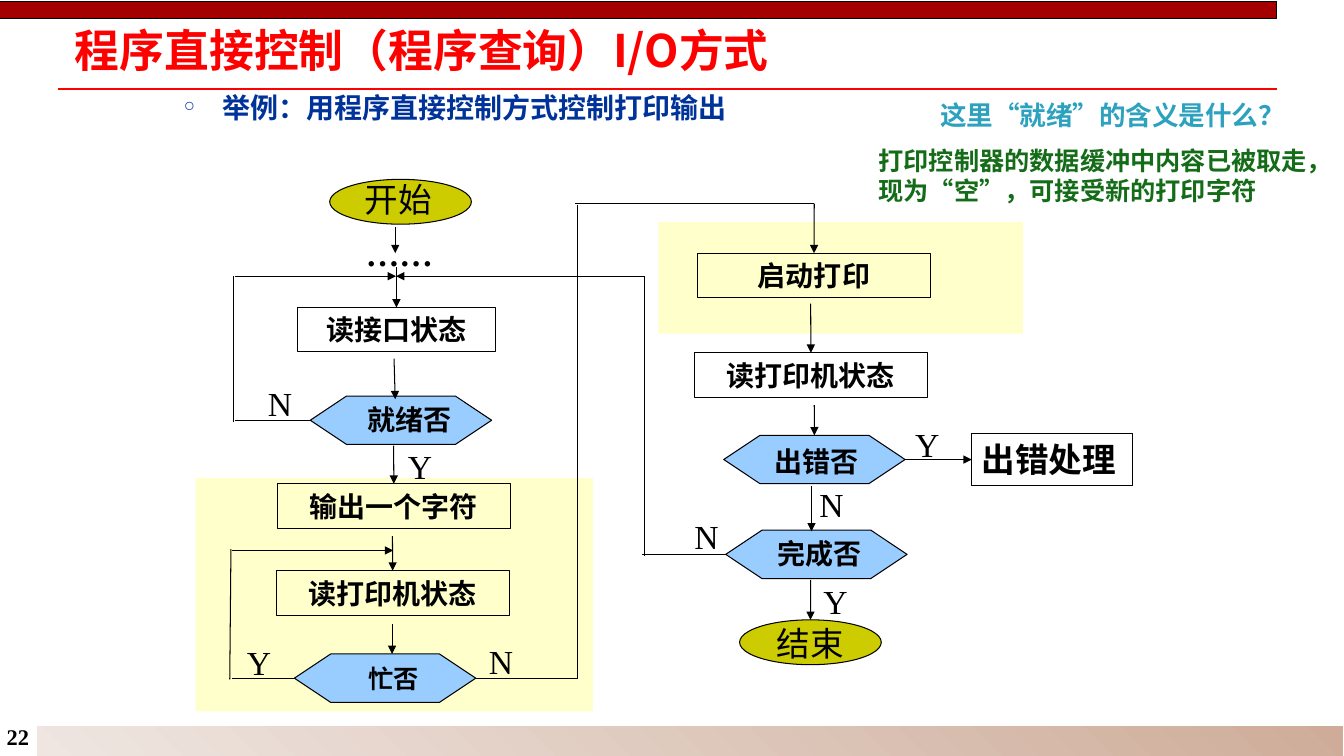
from dataclasses import dataclass

from lxml.etree import SubElement
from pptx import Presentation
from pptx.dml.color import RGBColor
from pptx.enum.shapes import MSO_CONNECTOR as Link, MSO_SHAPE as Form
from pptx.enum.text import MSO_AUTO_SIZE as Fit, PP_ALIGN as Align
from pptx.oxml.ns import qn
from pptx.util import Cm, Pt

BLACK = RGBColor(0x00, 0x00, 0x00)
WHITE = RGBColor(0xFF, 0xFF, 0xFF)
RED = RGBColor(0xFF, 0x00, 0x00)
DARK_RED = RGBColor(0xA4, 0x00, 0x00)
NAVY = RGBColor(0x00, 0x33, 0x99)
TEAL = RGBColor(0x2D, 0xA2, 0xBF)
GREEN = RGBColor(0x14, 0x6C, 0x18)
PALE_YELLOW = RGBColor(0xFF, 0xFF, 0x99)
OLIVE = RGBColor(0xCC, 0xCC, 0x00)
SKY = RGBColor(0x99, 0xCC, 0xFF)
TAN = RGBColor(0xCE, 0xAC, 0x99)
CREAM = RGBColor(0xEF, 0xE6, 0xE1)
SERIF, SANS, HAN = "Times New Roman", "Arial", "Noto Sans CJK SC"
TOP, LEFT, BOTTOM, RIGHT = range(4)


@dataclass
class Node:
    """A flowchart shape; lengths in cm."""
    name: str
    form: Form
    left: float
    top: float
    width: float
    height: float
    fill: RGBColor | None = None
    text: str = ""
    size: int = 20
    align: Align = Align.CENTER


@dataclass
class Label:
    """Free text; lengths in cm."""
    text: str
    left: float
    top: float
    width: float = 1.5
    height: float = 1.27
    size: int = 24
    bold: bool = False
    align: Align = Align.LEFT
    color: RGBColor = BLACK
    font: str = SERIF


@dataclass
class Flow:
    """A straight line, joined to (node name, side) where given."""
    x1: float
    y1: float
    x2: float
    y2: float
    arrow: bool = False
    begin: tuple[str, int] | None = None
    end: tuple[str, int] | None = None


def write(box, text: str, *, size: int, font: str = SERIF, color: RGBColor = BLACK,
          bold: bool = True, align: Align = Align.LEFT, wrap: bool = True,
          inset: tuple[float, float] = (0.25, 0.13)):
    frame = box.text_frame
    frame.word_wrap = wrap
    frame.auto_size = Fit.SHAPE_TO_FIT_TEXT
    frame.margin_left = frame.margin_right = Cm(inset[0])
    frame.margin_top = frame.margin_bottom = Cm(inset[1])
    para = frame.paragraphs[0]
    para.alignment = align
    span = para.add_run()
    span.text = text
    span.font.name, span.font.size, span.font.bold = font, Pt(size), bold
    span.font.color.rgb = color
    SubElement(span.font._element, qn("a:ea"), typeface=HAN)
    return para


def add_text(page, left: float, top: float, width: float, height: float, text: str, **style):
    box = page.shapes.add_textbox(Cm(left), Cm(top), Cm(width), Cm(height))
    return write(box, text, **style)


def add_form(page, form: Form, left: float, top: float, width: float, height: float,
             fill: RGBColor | None = None, line: RGBColor | None = BLACK):
    shape = page.shapes.add_shape(form, Cm(left), Cm(top), Cm(width), Cm(height))
    shape.shadow.inherit = False
    if fill is None:
        shape.fill.background()
    else:
        shape.fill.solid()
        shape.fill.fore_color.rgb = fill
    if line is None:
        shape.line.fill.background()
    else:
        shape.line.color.rgb = line
        shape.line.width = Pt(0.75)
    return shape


def add_flow(page, flow: Flow, shapes: dict, color: RGBColor = BLACK, width: float = 0.75) -> None:
    line = page.shapes.add_connector(Link.STRAIGHT, Cm(flow.x1), Cm(flow.y1), Cm(flow.x2), Cm(flow.y2))
    line.line.color.rgb = color
    line.line.width = Pt(width)
    if flow.begin:
        line.begin_connect(shapes[flow.begin[0]], flow.begin[1])
    if flow.end:
        line.end_connect(shapes[flow.end[0]], flow.end[1])
    if flow.arrow:
        SubElement(line.line._get_or_add_ln(), qn("a:tailEnd"), type="triangle")
    SubElement(line._element.spPr, qn("a:effectLst"))


def oval(name: str, left: float, top: float) -> Node:
    return Node(name, Form.OVAL, left, top, 3.57, 1.13, OLIVE)


def step(name: str, left: float, top: float, text: str, width: float = 5.87) -> Node:
    return Node(name, Form.RECTANGLE, left, top, width, 1.12, text=text)


def test(name: str, left: float, top: float) -> Node:
    return Node(name, Form.FLOWCHART_PREPARATION, left, top, 4.57, 1.22, SKY)


def question(text: str, left: float, top: float, size: int = 20) -> Label:
    return Label(text, left, top, 3.1, 1.09, size, True, Align.CENTER)


PANELS = [(16.59, 5.59, 9.19, 2.82), (4.93, 12.04, 10.01, 5.89)]
NODES = [
    oval("start", 8.31, 4.52), oval("finish", 18.64, 15.62),
    step("read port", 7.49, 7.75, "读接口状态", 5),
    step("output", 6.99, 12.19, "输出一个字符"),
    step("read busy", 6.96, 14.38, "读打印机状态"),
    step("print", 17.58, 6.38, "启动打印"),
    step("read error", 17.5, 8.89, "读打印机状态"),
    Node("handle error", Form.RECTANGLE, 24.49, 10.93, 4.04, 1.3, None, "出错处理", 24, Align.LEFT),
    test("ready", 7.82, 9.98), test("busy", 7.42, 16.48),
    test("error", 18.24, 10.97), test("done", 18.29, 13.36),
]
LABELS = [
    Label("开始", 8.94, 4.39, 3.48), Label("结束", 19.33, 15.57, 3.48),
    Label("……", 8.97, 5.74, 3.02, bold=True),
    question("就绪否", 8.76, 10.01), question("忙否", 8.36, 16.59, 18),
    question("出错否", 19.02, 11.07), question("完成否", 19.1, 13.39),
    Label("N", 6.5, 9.53), Label("Y", 10.03, 11.1),
    Label("Y", 5.97, 16.05), Label("N", 12.07, 16.03),
    Label("Y", 22.81, 10.54), Label("N", 20.4, 12.07),
    Label("N", 17.25, 12.88), Label("Y", 20.5, 14.5),
    Label("这里“就绪”的含义是什么？", 23.44, 2.36, 10.01, 1.07, 19, True, color=TEAL, font=SANS),
    Label("打印控制器的数据缓冲中内容已被取走，现为“空”，可接受新的打印字符",
          21.89, 3.53, 11.73, 1.8, 18, True, color=GREEN, font=SANS),
]
FLOWS = [
    # Left column, downwards
    Flow(9.96, 5.72, 9.96, 6.38, True),
    Flow(9.99, 6.73, 9.99, 7.75, True, end=("read port", TOP)),
    Flow(9.93, 9.04, 9.96, 10.06, True),
    Flow(9.92, 11.23, 9.92, 12.19, True, end=("output", TOP)),
    Flow(9.89, 13.51, 9.89, 14.38, True, end=("read busy", TOP)),
    Flow(9.88, 15.72, 9.88, 16.48, True),
    # Right column, downwards
    Flow(20.52, 5.13, 20.52, 6.38, True, end=("print", TOP)),
    Flow(20.43, 7.65, 20.43, 8.89, True, end=("read error", TOP)),
    Flow(20.52, 10.21, 20.52, 10.97, True, end=("error", TOP)),
    Flow(20.45, 12.24, 20.45, 13.39, True),
    Flow(20.43, 14.61, 20.43, 15.62, True, end=("finish", TOP)),
    Flow(22.81, 11.58, 24.49, 11.58, True, ("error", RIGHT), ("handle error", LEFT)),
    # Not ready: back to reading the port
    Flow(7.82, 10.59, 5.92, 10.59, begin=("ready", LEFT)),
    Flow(5.89, 6.96, 5.89, 10.64),
    Flow(5.92, 6.96, 9.98, 6.96, True),
    # Busy: read the printer again
    Flow(7.42, 17.09, 5.84, 17.09, begin=("busy", LEFT)),
    Flow(5.82, 13.84, 5.79, 17.12),
    Flow(5.84, 13.87, 9.91, 13.87, True),
    # Not busy: on to the right column
    Flow(11.99, 17.09, 14.55, 17.09, begin=("busy", RIGHT)),
    Flow(14.55, 5.16, 14.55, 17.12),
    Flow(14.5, 5.13, 20.52, 5.13),
    # Not done: next character
    Flow(18.29, 13.97, 16.18, 13.97, begin=("done", LEFT)),
    Flow(16.23, 6.96, 16.23, 14),
    Flow(16.23, 6.96, 9.98, 6.96, True),
]


def main() -> None:
    deck = Presentation()
    deck.slide_width, deck.slide_height = Cm(33.87), Cm(19.05)
    page = deck.slides.add_slide(deck.slide_layouts[6])

    # Slide frame
    add_flow(page, Flow(1.45, 2.24, 32.18, 2.24), {}, RED, 1)
    footer = add_form(page, Form.RECTANGLE, 0.91, 18.29, 32.96, 0.79, line=WHITE)
    footer.fill.gradient()
    footer.fill.gradient_angle = 225
    for stop, color in zip(footer.fill.gradient_stops, (TAN, CREAM)):
        stop.color.rgb = color
    add_text(page, -0.08, 18.08, 1.09, 0.86, "22", size=16, wrap=False)
    add_form(page, Form.RECTANGLE, 0, 0.03, 32.18, 0.43, DARK_RED)

    # Half-transparent panels
    for panel in PANELS:
        shape = add_form(page, Form.RECTANGLE, *panel, PALE_YELLOW, None)
        tint = shape._element.spPr.find(qn("a:solidFill"))[0]
        SubElement(tint, qn("a:alpha"), val="50000")

    # Title and bulleted example
    title = add_text(page, 1.45, 0.69, 30.53, 1.32, " 程序直接控制（程序查询）I/O方式",
                     size=32, font=HAN, color=RED, inset=(0.18, 0.08))
    title.line_spacing = 0.87
    example = add_text(page, 4.45, 2.21, 22.76, 1.17, "举例：用程序直接控制方式控制打印输出",
                       size=20, font=HAN, color=NAVY, inset=(0.18, 0.08))
    example.space_before = Pt(6)
    layout = example._p.get_or_add_pPr()
    layout.set("marL", str(Cm(0.97)))
    layout.set("indent", str(-Cm(0.97)))
    SubElement(layout, qn("a:buChar"), char="°")

    # Flowchart
    shapes = {}
    for node in NODES:
        shape = add_form(page, node.form, node.left, node.top, node.width, node.height, node.fill)
        shapes[node.name] = shape
        if node.text:
            write(shape, node.text, size=node.size, align=node.align)
    for flow in FLOWS:
        add_flow(page, flow, shapes)
    for label in LABELS:
        add_text(page, label.left, label.top, label.width, label.height, label.text, size=label.size,
                 font=label.font, color=label.color, bold=label.bold, align=label.align)

    deck.save("out.pptx")


if __name__ == "__main__":
    main()
